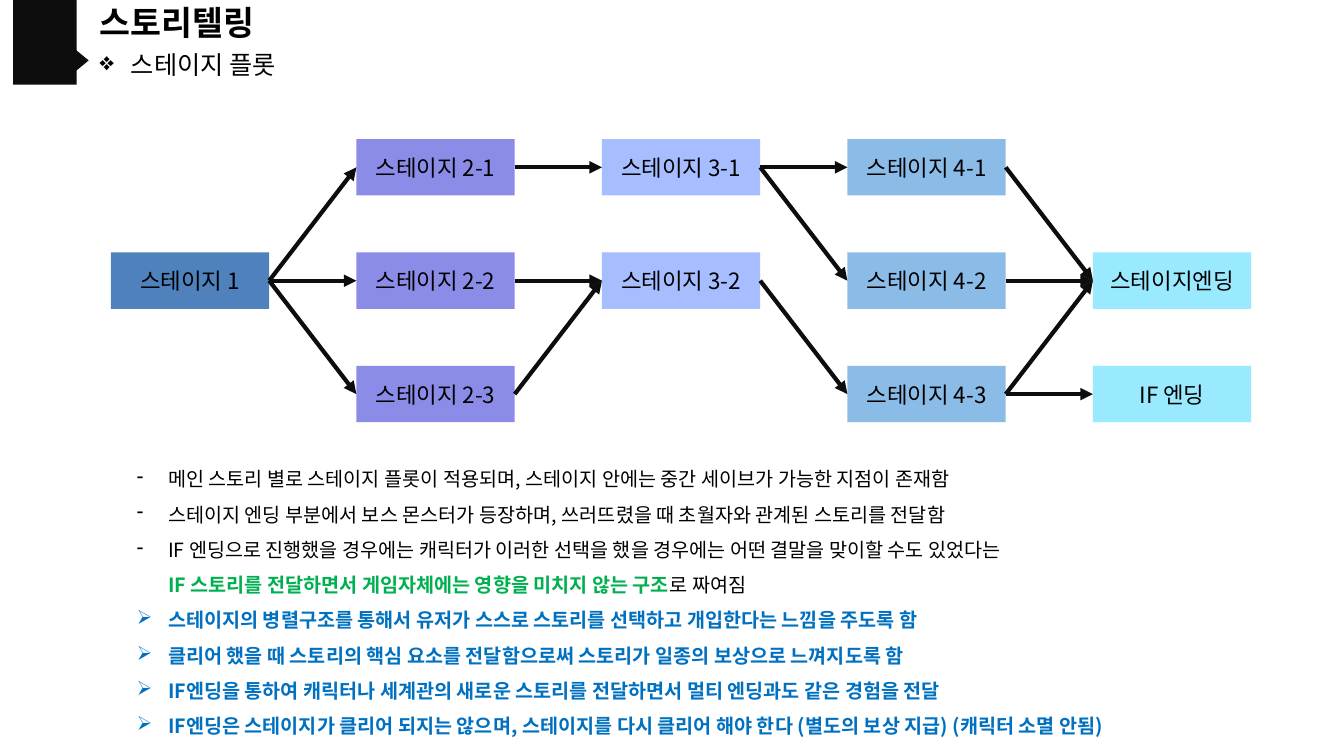
from lxml import etree
from pptx import Presentation
from pptx import util as u
from pptx.dml.color import RGBColor
from pptx.enum import shapes, text
from pptx.oxml import ns

INK, BLACK, GREEN, BLUE = "0D0D0D", "000000", "00B050", "0070C0"


def hue(code):
    return RGBColor.from_string(code)


def sub(node, tag, **attrs):
    return etree.SubElement(node, ns.qn(tag), attrs)


class Deck:
    font = "Noto Sans CJK KR"
    left, top = 1.1, 1.38          # corner of the stage grid
    col, row = 2.435, 1.125        # steps of the stage grid
    wide, high = 1.57, 0.56        # size of a stage box

    def __init__(self):
        self.prs = Presentation()
        self.prs.slide_width = u.Inches(13.33)
        self.prs.slide_height = u.Inches(7.5)
        self.slide = self.prs.slides.add_slide(self.prs.slide_layouts[6])

    def shape(self, kind, box, fill):
        item = self.slide.shapes.add_shape(kind, *map(u.Inches, box))
        item.shadow.inherit = False
        item.fill.solid()
        item.fill.fore_color.rgb = hue(fill)
        item.line.fill.background()
        return item

    def run(self, para, words, size, color=BLACK, bold=False):
        run = para.add_run()
        run.text = words
        run.font.size = u.Pt(size)
        run.font.name = self.font
        run.font.bold = bold
        run.font.color.rgb = hue(color)
        sub(run.font._element, "a:ea", typeface=self.font)

    def bullet(self, para, mark):
        props = para._p.get_or_add_pPr()
        hang = u.Inches(0.31)
        props.set("marL", str(hang))
        if mark:
            props.set("indent", str(-hang))
            sub(props, "a:buChar", char=mark)
        else:
            props.set("indent", "0")

    def label(self, box, anchor=text.MSO_ANCHOR.MIDDLE, pad=0):
        frame = self.slide.shapes.add_textbox(*map(u.Inches, box)).text_frame
        frame.word_wrap = True
        frame.vertical_anchor = anchor
        frame.margin_top = frame.margin_bottom = u.Inches(pad)
        return frame

    def stage(self, words, col, row, fill):
        box = (self.left + col * self.col, self.top + row * self.row,
               self.wide, self.high)
        item = self.shape(shapes.MSO_SHAPE.RECTANGLE, box, fill)
        item.text_frame.vertical_anchor = text.MSO_ANCHOR.MIDDLE
        para = item.text_frame.paragraphs[0]
        para.alignment = text.PP_ALIGN.CENTER
        self.run(para, words, 16)
        return item

    def arrow(self, start, end):
        line = self.slide.shapes.add_connector(
            shapes.MSO_CONNECTOR.STRAIGHT, 0, 0, 0, 0)
        line.begin_connect(start, 3)
        line.end_connect(end, 1)
        line.line.width = u.Pt(3)
        line.line.color.rgb = hue(INK)
        sub(line.line._get_or_add_ln(), "a:tailEnd", type="triangle")
        sub(line._element.spPr, "a:effectLst")

    def notes(self, box, lines, size, pitch):
        frame = self.label(box, text.MSO_ANCHOR.TOP, 0.05)
        for at, (mark, runs) in enumerate(lines):
            para = frame.add_paragraph() if at else frame.paragraphs[0]
            self.bullet(para, mark)
            para.line_spacing = u.Pt(pitch)
            for words, color, bold in runs:
                self.run(para, words, size, color, bold)


def main():
    deck = Deck()

    # Corner tab
    deck.shape(shapes.MSO_SHAPE.RECTANGLE, (0.13, 0, 0.63, 0.84), INK)
    tip = deck.shape(shapes.MSO_SHAPE.ISOSCELES_TRIANGLE,
                     (0.59, 0.49, 0.36, 0.22), INK)
    tip.rotation = 90

    # Headings
    head = deck.label((0.89, 0, 7.36, 0.44)).paragraphs[0]
    deck.run(head, "스토리텔링", 24, bold=True)
    topic = deck.label((0.89, 0.46, 7.36, 0.36)).paragraphs[0]
    deck.bullet(topic, "❖")
    deck.run(topic, "스테이지 플롯", 18)

    # Stage boxes: fill of each column, then key, name and row
    plan = [
        ("4F81BD", [("1", "스테이지 1", 1)]),
        ("8B8CE8", [(f"2-{n}", f"스테이지 2-{n}", n - 1) for n in (1, 2, 3)]),
        ("A6BEFF", [(f"3-{n}", f"스테이지 3-{n}", n - 1) for n in (1, 2)]),
        ("8BBCE8", [(f"4-{n}", f"스테이지 4-{n}", n - 1) for n in (1, 2, 3)]),
        ("99EAFF", [("end", "스테이지엔딩", 1), ("if", "IF 엔딩", 2)]),
    ]
    box = {key: deck.stage(name, col, row, fill)
           for col, (fill, items) in enumerate(plan)
           for key, name, row in items}

    # Routes between stages
    routes = {
        "1": ["2-1", "2-2", "2-3"],
        "2-1": ["3-1"], "2-2": ["3-2"], "2-3": ["3-2"],
        "3-1": ["4-1", "4-2"], "3-2": ["4-3"],
        "4-1": ["end"], "4-2": ["end"], "4-3": ["end", "if"],
    }
    for start, ends in routes.items():
        for end in ends:
            deck.arrow(box[start], box[end])

    # Explanation
    facts = [
        "메인 스토리 별로 스테이지 플롯이 적용되며, 스테이지 안에는 중간 세이브가 가능한 지점이 존재함",
        "스테이지 엔딩 부분에서 보스 몬스터가 등장하며, 쓰러뜨렸을 때 초월자와 관계된 스토리를 전달함",
        "IF 엔딩으로 진행했을 경우에는 캐릭터가 이러한 선택을 했을 경우에는 어떤 결말을 맞이할 수도 있었다는",
    ]
    more = [("IF 스토리를 전달하면서 게임자체에는 영향을 미치지 않는 구조", GREEN, True),
            ("로 짜여짐", BLACK, False)]
    goals = [
        "스테이지의 병렬구조를 통해서 유저가 스스로 스토리를 선택하고 개입한다는 느낌을 주도록 함",
        "클리어 했을 때 스토리의 핵심 요소를 전달함으로써 스토리가 일종의 보상으로 느껴지도록 함",
        "IF엔딩을 통하여 캐릭터나 세계관의 새로운 스토리를 전달하면서 멀티 엔딩과도 같은 경험을 전달",
        "IF엔딩은 스테이지가 클리어 되지는 않으며, 스테이지를 다시 클리어 해야 한다 "
        "(별도의 보상 지급) (캐릭터 소멸 안됨)",
    ]
    lines = [("-", [(fact, BLACK, False)]) for fact in facts]
    lines.append((None, more))
    lines += [("➢", [(goal, BLUE, True)]) for goal in goals]
    deck.notes((1.26, 4.47, 10.8, 2.93), lines, 14, 25.2)

    deck.prs.save("out.pptx")


if __name__ == "__main__":
    main()
